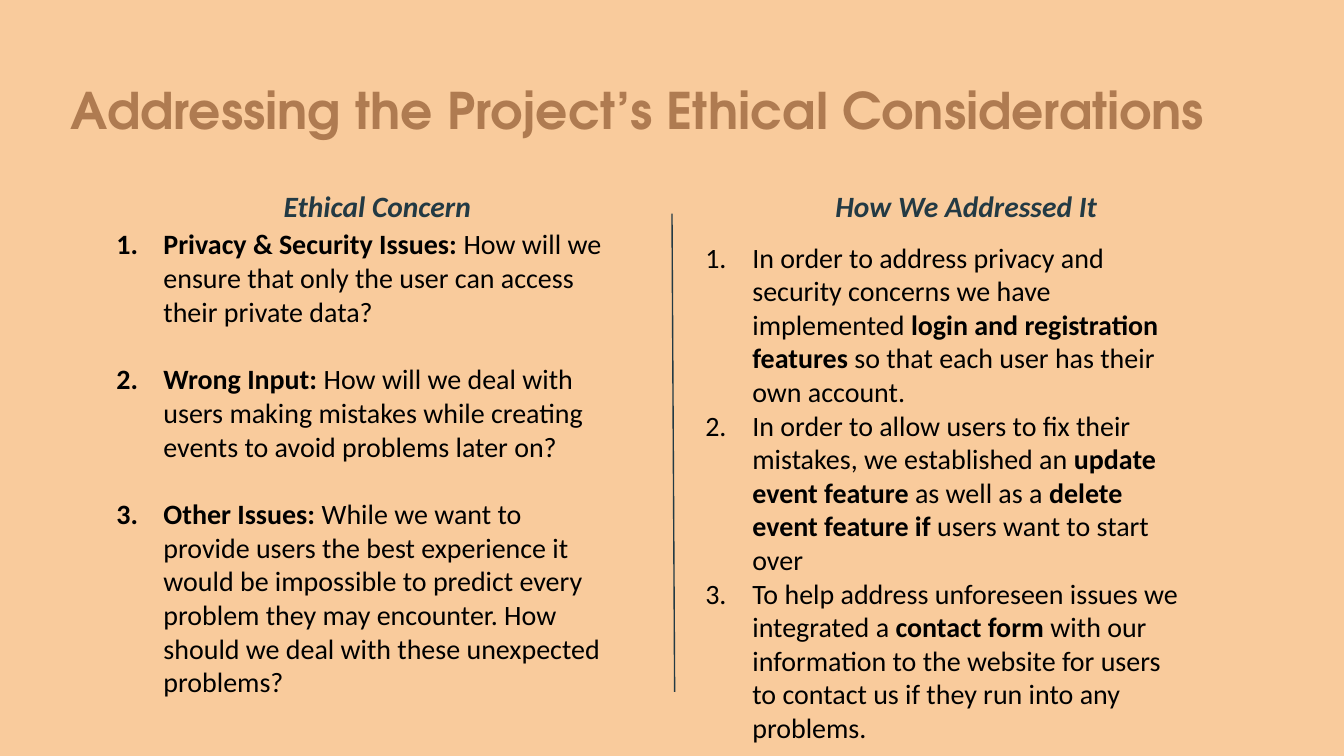
from dataclasses import dataclass

from lxml import etree
from pptx import Presentation
from pptx.dml.color import RGBColor
from pptx.enum.shapes import MSO_CONNECTOR, MSO_SHAPE
from pptx.enum.text import MSO_ANCHOR, MSO_AUTO_SIZE, PP_ALIGN
from pptx.oxml.ns import qn
from pptx.util import Cm, Pt

RECTANGLE = MSO_SHAPE.RECTANGLE
STRAIGHT = MSO_CONNECTOR.STRAIGHT
TOP, MIDDLE = MSO_ANCHOR.TOP, MSO_ANCHOR.MIDDLE
GROW = MSO_AUTO_SIZE.SHAPE_TO_FIT_TEXT
LEFT, CENTER = PP_ALIGN.LEFT, PP_ALIGN.CENTER

COLORS = {"peach": "F9CB9C", "brown": "AF7B51", "slate": "233A44", "ink": "000000"}
TITLE_FONT, BODY_FONT = "TeX Gyre Adventor", "Calibri"
SLIDE_WIDTH, SLIDE_HEIGHT = 25.4, 14.29
INSET = 0.25


@dataclass
class Box:
    left: float
    top: float
    width: float
    height: float


@dataclass
class Span:
    text: str
    bold: bool = False


@dataclass
class Column:
    heading: str
    heading_box: Box
    list_box: Box
    item_gap: float
    items: list[list[Span]]


COLUMNS = [
    Column("Ethical Concern", Box(1.57, 3.2, 11.13, 1.7), Box(1.57, 4.04, 10.06, 9.5), 18.3, [
        [Span("Privacy & Security Issues: ", True),
         Span("How will we ensure that only the user can access their private data?")],
        [Span("Wrong Input: ", True),
         Span("How will we deal with users making mistakes while creating events "
              "to avoid problems later on?")],
        [Span("Other Issues: ", True),
         Span("While we want to provide users the best experience it would be impossible "
              "to predict every problem they may encounter. How should we deal with these "
              "unexpected problems?")],
    ]),
    Column("How We Addressed It", Box(12.7, 3.2, 11.13, 1.7), Box(12.7, 4.29, 10.06, 10.13), 0, [
        [Span("In order to address privacy and security concerns we have implemented "),
         Span("login and registration features ", True),
         Span("so that each user has their own account.")],
        [Span("In order to allow users to fix their mistakes, we established an "),
         Span("update event feature ", True),
         Span("as well as a "),
         Span("delete event feature if", True),
         Span(" users want to start over")],
        [Span("To help address unforeseen issues we integrated a "),
         Span("contact form", True),
         Span(" with our information to the website for users to contact us "
              "if they run into any problems.")],
    ]),
]


def rgb(name: str) -> RGBColor:
    return RGBColor.from_string(COLORS[name])


def style_font(font, name: str, size: float, color: str, bold: bool, italic: bool = False) -> None:
    font.name = name
    font.size = Pt(size)
    font.color.rgb = rgb(color)
    font.bold = bold
    font.italic = italic


def add_frame(slide, box: Box, anchor=TOP):
    frame = slide.shapes.add_textbox(
        Cm(box.left), Cm(box.top), Cm(box.width), Cm(box.height)).text_frame
    frame.word_wrap = True
    frame.vertical_anchor = anchor
    frame.margin_left = frame.margin_right = Cm(INSET)
    frame.margin_top = frame.margin_bottom = Cm(INSET)
    return frame


def add_title(slide, text: str, box: Box) -> None:
    frame = add_frame(slide, box, MIDDLE)
    frame.text = text
    style_font(frame.paragraphs[0].runs[0].font, TITLE_FONT, 27, "brown", True)


def add_heading(slide, text: str, box: Box) -> None:
    frame = add_frame(slide, box)
    frame.text = text
    heading = frame.paragraphs[0]
    heading.alignment = CENTER
    heading.line_spacing = 1.15
    style_font(heading.runs[0].font, BODY_FONT, 15.8, "slate", True, True)


def number_paragraph(paragraph) -> None:
    properties = paragraph._p.get_or_add_pPr()
    properties.set("marL", str(Cm(1.27)))
    properties.set("indent", str(-Cm(0.89)))
    bullet_color = etree.SubElement(properties, qn("a:buClr"))
    etree.SubElement(bullet_color, qn("a:srgbClr"), val=COLORS["ink"])
    etree.SubElement(properties, qn("a:buAutoNum"), type="arabicPeriod")


def add_numbered_list(slide, column: Column) -> None:
    frame = add_frame(slide, column.list_box)
    frame.auto_size = GROW
    for index, spans in enumerate(column.items):
        item = frame.add_paragraph() if index else frame.paragraphs[0]
        number_paragraph(item)
        item.alignment = LEFT
        if index and column.item_gap:
            item.space_before = Pt(column.item_gap)
        for span in spans:
            run = item.add_run()
            run.text = span.text
            style_font(run.font, BODY_FONT, 15, "ink", span.bold)


def add_backdrop(slide) -> None:
    slide.background.fill.solid()
    slide.background.fill.fore_color.rgb = rgb("peach")
    backdrop = slide.shapes.add_shape(RECTANGLE, 0, 0, Cm(SLIDE_WIDTH), Cm(SLIDE_HEIGHT))
    backdrop.shadow.inherit = False
    backdrop.fill.solid()
    backdrop.fill.fore_color.rgb = rgb("peach")
    backdrop.line.fill.background()


def add_divider(slide) -> None:
    divider = slide.shapes.add_connector(STRAIGHT, Cm(12.7), Cm(4.04), Cm(12.75), Cm(13.08))
    divider.line.color.rgb = rgb("slate")
    divider.line.width = Pt(0.75)
    etree.SubElement(divider._element.spPr, qn("a:effectLst"))


def main() -> None:
    deck = Presentation()
    deck.slide_width, deck.slide_height = Cm(SLIDE_WIDTH), Cm(SLIDE_HEIGHT)
    slide = deck.slides.add_slide(deck.slide_layouts[6])
    add_backdrop(slide)
    add_title(slide, "Addressing the Project’s Ethical Considerations",
              Box(1.09, 1.22, 23.24, 1.7))
    for column in COLUMNS:
        add_heading(slide, column.heading, column.heading_box)
    add_divider(slide)
    for column in COLUMNS:
        add_numbered_list(slide, column)
    deck.save("out.pptx")


if __name__ == "__main__":
    main()
